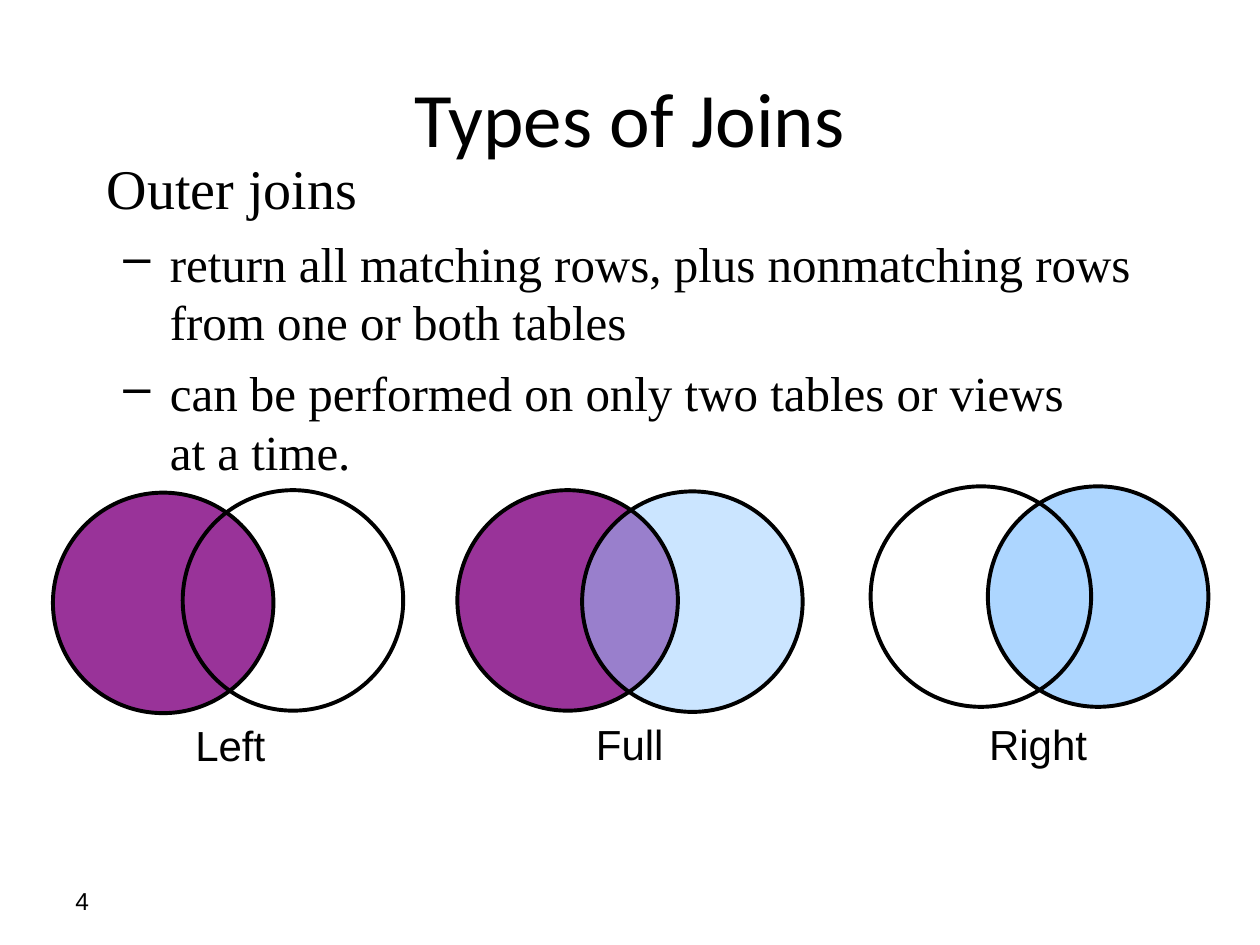
from dataclasses import dataclass
from typing import Optional

from lxml import etree
from pptx import Presentation
from pptx.dml.color import RGBColor
from pptx.enum.shapes import MSO_SHAPE
from pptx.enum.text import MSO_ANCHOR, PP_ALIGN
from pptx.oxml.ns import qn
from pptx.util import Inches, Pt

OVAL = MSO_SHAPE.OVAL
TOP, MIDDLE = MSO_ANCHOR.TOP, MSO_ANCHOR.MIDDLE
LEFT, CENTER = PP_ALIGN.LEFT, PP_ALIGN.CENTER
BLACK, PURPLE, BLUE = "000000", "800080", "99CCFF"
DIAMETER = 1.75


@dataclass
class Circle:
    left: float
    top: float
    fill: Optional[str] = None
    opacity: int = 100
    outlined: bool = True


@dataclass
class Label:
    text: str
    left: float
    top: float
    width: float


@dataclass
class Venn:
    circles: list[Circle]  # from back to front
    label: Label


VENNS = [
    Venn([Circle(3.63, 3.9, PURPLE, 80, False), Circle(4.62, 3.9, BLUE, 50),
          Circle(3.63, 3.89)], Label("Full", 4.73, 5.7, 0.54)),
    Venn([Circle(7.84, 3.86, BLUE, 80), Circle(6.91, 3.86)],
         Label("Right", 7.85, 5.7, 0.78)),
    Venn([Circle(0.42, 3.91, PURPLE, 80, False), Circle(1.45, 3.89),
          Circle(0.42, 3.91)], Label("Left", 1.55, 5.71, 0.56)),
]
BULLETS = [
    "return all matching rows, plus nonmatching rows \vfrom one or both tables",
    "can be performed on only two tables or views \vat a time.",
]


def color(hex_code: str) -> RGBColor:
    return RGBColor.from_string(hex_code)


def style(paragraph, font: str, size: float) -> None:
    for span in paragraph.runs:
        span.font.name = font
        span.font.size = Pt(size)
        span.font.color.rgb = color(BLACK)


def add_text(page, text: str, left: float, top: float, width: float,
             height: float, font: str, size: float, align=LEFT, anchor=TOP,
             wrap: bool = True, inset: Optional[float] = None):
    box = page.shapes.add_textbox(Inches(left), Inches(top),
                                  Inches(width), Inches(height))
    frame = box.text_frame
    frame.word_wrap = wrap
    frame.vertical_anchor = anchor
    if inset is not None:
        frame.margin_left = frame.margin_right = Inches(inset)
        frame.margin_top = frame.margin_bottom = Inches(inset)
    frame.text = text
    frame.paragraphs[0].alignment = align
    style(frame.paragraphs[0], font, size)
    return frame


def add_bullet(frame, text: str) -> None:
    paragraph = frame.add_paragraph()
    paragraph.text = text
    paragraph.level = 1
    paragraph.space_before = Pt(7)
    properties = paragraph._p.get_or_add_pPr()
    properties.set("marL", str(Inches(0.5)))
    properties.set("indent", str(Inches(-0.37)))
    etree.SubElement(properties, qn("a:buChar")).set("char", "–")
    style(paragraph, "Times New Roman", 28)


def add_circle(page, circle: Circle) -> None:
    shape = page.shapes.add_shape(OVAL, Inches(circle.left), Inches(circle.top),
                                  Inches(DIAMETER), Inches(DIAMETER))
    shape.shadow.inherit = False
    if circle.fill:
        shape.fill.solid()
        shape.fill.fore_color.rgb = color(circle.fill)
        tint = shape._element.spPr.find(qn("a:solidFill"))[0]
        etree.SubElement(tint, qn("a:alpha")).set("val", str(circle.opacity * 1000))
    else:
        shape.fill.background()
    if circle.outlined:
        shape.line.color.rgb = color(BLACK)
        shape.line.width = Pt(2.25)
    else:
        shape.line.fill.background()


def main() -> None:
    deck = Presentation()
    deck.slide_width, deck.slide_height = Inches(10), Inches(7.5)
    page = deck.slides.add_slide(deck.slide_layouts[6])

    # Title and explanation
    add_text(page, "Types of Joins", 0.5, 0.3, 9, 1.25, "Calibri", 44,
             align=CENTER, anchor=MIDDLE)
    body = add_text(page, "Outer joins", 0.75, 1.17, 8.58, 4.67,
                    "Times New Roman", 32)
    for text in BULLETS:
        add_bullet(body, text)

    # Slide number
    add_text(page, "4", 0.5, 6.95, 2.33, 0.4, "Arial", 14, anchor=MIDDLE)

    # Venn diagrams
    for venn in VENNS:
        for circle in venn.circles:
            add_circle(page, circle)
        label = venn.label
        add_text(page, label.text, label.left, label.top, label.width, 0.4,
                 "Arial", 24, wrap=False, inset=0)

    deck.save("out.pptx")


if __name__ == "__main__":
    main()
